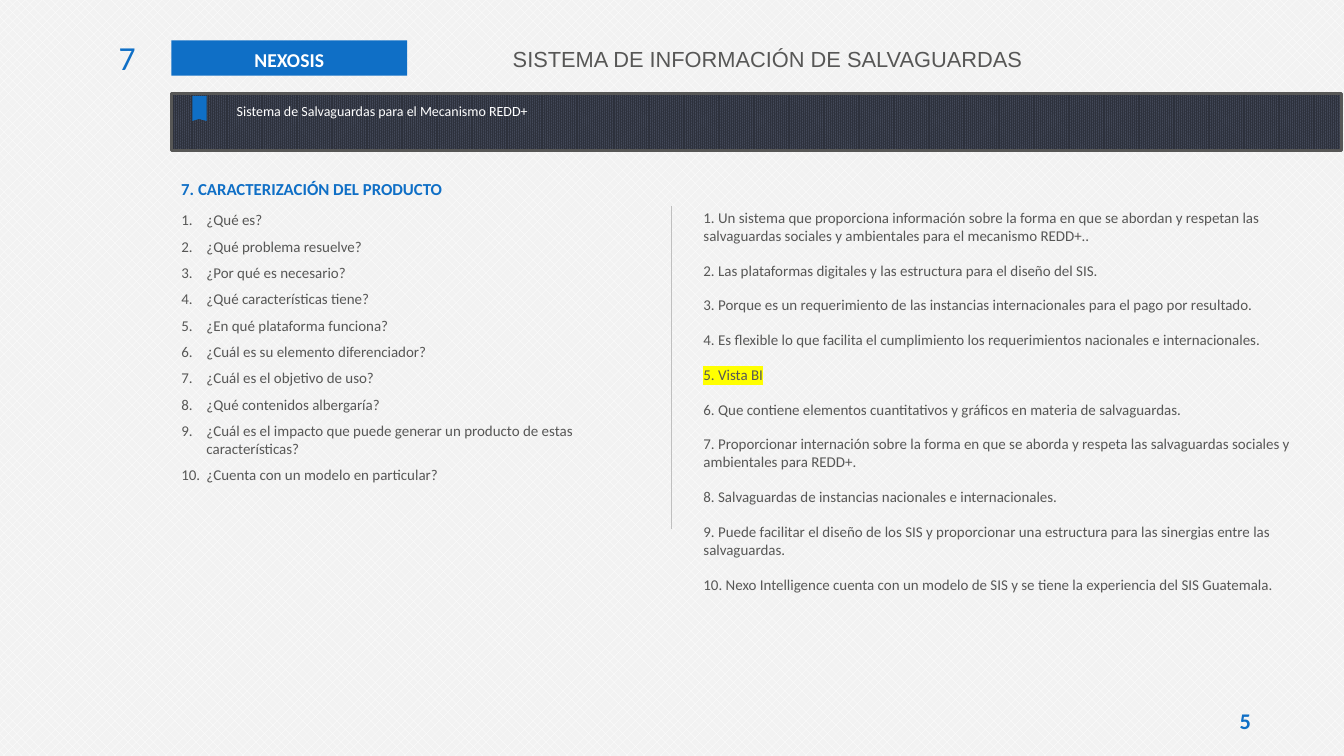
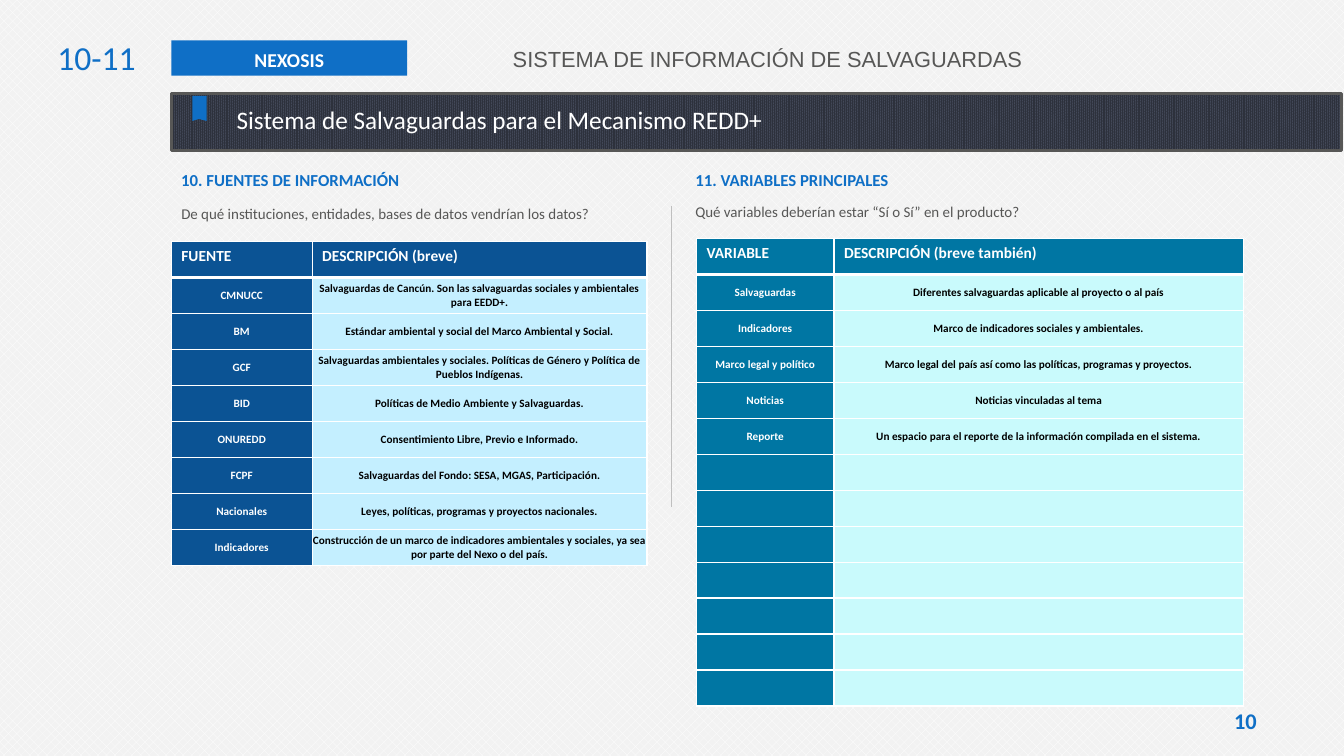
from dataclasses import dataclass, field
from typing import Any

from lxml.etree import SubElement
from pptx import Presentation
from pptx.dml.color import ColorFormat, RGBColor
from pptx.dml.fill import FillFormat
from pptx.enum.dml import MSO_PATTERN
from pptx.enum.shapes import MSO_CONNECTOR, MSO_SHAPE
from pptx.enum.text import MSO_ANCHOR, PP_ALIGN
from pptx.oxml.ns import qn
from pptx.slide import Slide
from pptx.table import _Cell
from pptx.text.text import TextFrame
from pptx.util import Pt

BLUE, GREY, WHITE, BLACK = "0F6FC6", "575756", "FFFFFF", "000000"
RULE, YELLOW = "BFBFBF", "FFFF00"
LEFT, BAND_TOP, BAND_HEIGHT = 122.4, 67, 40.3
ROW_HEIGHT = 25.7
NO_INSETS = {f"margin_{side}": 0 for side in ("left", "right", "top", "bottom")}


@dataclass(frozen=True)
class Style:
    """Character and paragraph look of a text."""

    size: float
    color: str
    bold: bool = False
    name: str = "Calibri"
    layout: dict[str, Any] = field(default_factory=dict)
    numbered: bool = False
    indent: float = 0


@dataclass(frozen=True)
class Area:
    """Position and size in points."""

    left: float
    top: float
    width: float
    height: float

    def lengths(self) -> tuple[Pt, ...]:
        """Return the four lengths in the order shapes expect."""
        return tuple(Pt(v) for v in (self.left, self.top, self.width, self.height))


@dataclass(frozen=True)
class Grid:
    """Two-column table with its colours."""

    area: Area
    first_width: float
    dark: str
    light: str
    rows: list[tuple[str, str]]


SPACED = {"space_before": Pt(6), "space_after": Pt(6)}
CENTERED = {"alignment": PP_ALIGN.CENTER}
TITLE = Style(15.6, GREY, name="Arial", indent=255.5)
TAG = Style(14, WHITE, True, layout=CENTERED | {"line_spacing": 1.1})
CHAPTER = Style(24, BLUE, layout={"alignment": PP_ALIGN.RIGHT})
PAGE_NUMBER = Style(16, BLUE, True, layout=CENTERED)
HEADING = Style(12, BLUE, True)
BODY = Style(10.7, GREY, layout=SPACED)
QUESTION = Style(10.7, GREY, layout={"space_after": Pt(6)}, numbered=True, indent=18)
COLUMN_HEAD = Style(11, WHITE, True)
ROW_NAME = Style(8, WHITE, True, layout=CENTERED)
ROW_TEXT = Style(8, BLACK, True, layout=CENTERED)

QUESTIONS = [
    "¿Qué es?",
    "¿Qué problema resuelve?",
    "¿Por qué es necesario?",
    "¿Qué características tiene?",
    "¿En qué plataforma funciona?",
    "¿Cuál es su elemento diferenciador?",
    "¿Cuál es el objetivo de uso?",
    "¿Qué contenidos albergaría?",
    "¿Cuál es el impacto que puede generar un producto de estas características?",
    "¿Cuenta con un modelo en particular?",
]
MARKED = "5. Vista BI"
ANSWERS = [
    "1. Un sistema que proporciona información sobre la forma en que se abordan y respetan las "
    "salvaguardas sociales y ambientales para el mecanismo REDD+..",
    "2. Las plataformas digitales y las estructura para el diseño del SIS.",
    "3. Porque es un requerimiento de las instancias internacionales para el pago por resultado.",
    "4. Es flexible lo que facilita el cumplimiento los requerimientos nacionales e internacionales.",
    MARKED,
    "6. Que contiene elementos cuantitativos y gráficos en materia de salvaguardas.",
    "7. Proporcionar internación sobre la forma en que se aborda y respeta las salvaguardas "
    "sociales y ambientales para REDD+.",
    "8. Salvaguardas de instancias nacionales e internacionales.",
    "9. Puede facilitar el diseño de los SIS y proporcionar una estructura para las sinergias "
    "entre las salvaguardas.",
    "10. Nexo Intelligence cuenta con un modelo de SIS y se tiene la experiencia del SIS Guatemala.",
]
SOURCES = Grid(Area(LEFT, 172.6, 339.8, 9 * ROW_HEIGHT), 100.6, "0B5394", "C4EFFF", [
    ("FUENTE", "DESCRIPCIÓN (breve)"),
    ("CMNUCC", "Salvaguardas de Cancún. Son las salvaguardas sociales y ambientales para EEDD+."),
    ("BM", "Estándar ambiental y social del Marco Ambiental y Social."),
    ("GCF", "Salvaguardas ambientales y sociales. Políticas de Género y Política de Pueblos Indígenas."),
    ("BID", "Políticas de Medio Ambiente y Salvaguardas."),
    ("ONUREDD", "Consentimiento Libre, Previo e Informado."),
    ("FCPF", "Salvaguardas del Fondo: SESA, MGAS, Participación."),
    ("Nacionales", "Leyes, políticas, programas y proyectos nacionales."),
    ("Indicadores", "Construcción de un marco de indicadores ambientales y sociales, ya sea por parte "
     "del Nexo o del país."),
])
VARIABLES = Grid(Area(497.5, 170.4, 390.7, 13 * ROW_HEIGHT), 98.2, "0076A3", "C9FAFC", [
    ("VARIABLE", "DESCRIPCIÓN (breve también)"),
    ("Salvaguardas", "Diferentes salvaguardas aplicable al proyecto o al país"),
    ("Indicadores", "Marco de indicadores sociales y ambientales."),
    ("Marco legal y político", "Marco legal del país así como las políticas, programas y proyectos."),
    ("Noticias", "Noticias vinculadas al tema"),
    ("Reporte", "Un espacio para el reporte de la información compilada en el sistema."),
    *[("", "")] * 7,
])


def apply(target: Any, values: dict[str, Any]) -> None:
    """Set every named attribute on the target."""
    for name, value in values.items():
        setattr(target, name, value)


def tint(target: ColorFormat, value: str) -> None:
    """Give a colour format a hex colour."""
    target.rgb = RGBColor.from_string(value)


def fill_solid(fill: FillFormat, value: str) -> None:
    """Fill with one colour."""
    fill.solid()
    tint(fill.fore_color, value)


def fill_pattern(fill: FillFormat, preset: str, front: str, back: str) -> None:
    """Fill with a two-colour preset pattern."""
    fill.patterned()
    fill.pattern = MSO_PATTERN.from_xml(preset)
    tint(fill.fore_color, front)
    tint(fill.back_color, back)


def write(frame: TextFrame, lines: list[str], style: Style, marked: str = "") -> None:
    """Write one paragraph per line, highlighting the marked one."""
    frame.word_wrap = True
    for index, line in enumerate(lines):
        para = frame.add_paragraph() if index else frame.paragraphs[0]
        apply(para, style.layout)
        if style.indent:
            properties = para._p.get_or_add_pPr()
            properties.set("marL", str(Pt(style.indent)))
            if style.numbered:
                properties.set("indent", str(-Pt(style.indent)))
                SubElement(properties, qn("a:buFont")).set("typeface", "+mj-lt")
                SubElement(properties, qn("a:buAutoNum")).set("type", "arabicPeriod")
        span = para.add_run()
        span.text = line
        apply(span.font, {"size": Pt(style.size), "bold": style.bold, "name": style.name})
        tint(span.font.color, style.color)
        if marked and line == marked:
            properties = span._r.get_or_add_rPr()
            highlight = SubElement(properties, qn("a:highlight"))
            SubElement(highlight, qn("a:srgbClr")).set("val", YELLOW)
            properties.find(qn("a:latin")).addprevious(highlight)


def add_text(page: Slide, area: Area, lines: list[str], style: Style,
             marked: str = "", **margins: Pt) -> None:
    """Place a text box."""
    frame = page.shapes.add_textbox(*area.lengths()).text_frame
    apply(frame, margins)
    write(frame, lines, style, marked)


def add_divider(page: Slide, bottom: float) -> None:
    """Draw the vertical rule between the two columns."""
    line = page.shapes.add_connector(MSO_CONNECTOR.STRAIGHT, Pt(480), Pt(147), Pt(480), Pt(bottom))
    line.line.width = Pt(0.75)
    tint(line.line.color, RULE)
    SubElement(line._element.spPr, qn("a:effectLst"))


def add_borders(cell: _Cell, top: float, bottom: float) -> None:
    """Give a cell white borders."""
    for side, width in (("L", 1), ("R", 1), ("T", top), ("B", bottom)):
        line = SubElement(cell._tc.get_or_add_tcPr(), qn(f"a:ln{side}"), w=str(Pt(width)))
        SubElement(SubElement(line, qn("a:solidFill")), qn("a:srgbClr")).set("val", WHITE)


def add_grid(page: Slide, grid: Grid) -> None:
    """Place a table with a header row and a dark first column."""
    table = page.shapes.add_table(len(grid.rows), 2, *grid.area.lengths()).table
    table.columns[0].width = Pt(grid.first_width)
    table.columns[1].width = Pt(grid.area.width - grid.first_width)
    for row, texts in enumerate(grid.rows):
        table.rows[row].height = Pt(ROW_HEIGHT)
        for column, text in enumerate(texts):
            cell = table.cell(row, column)
            add_borders(cell, 3 if row == 1 else 1, 1 if row else 3)
            fill_solid(cell.fill, grid.light if row and column else grid.dark)
            if row:
                apply(cell, NO_INSETS | {"vertical_anchor": MSO_ANCHOR.MIDDLE})
            style = (ROW_TEXT if column else ROW_NAME) if row else COLUMN_HEAD
            write(cell.text_frame, [text], style)


def add_frame(page: Slide, chapter: str, number: str, band_size: float) -> None:
    """Draw the title, tag, band, ribbon and page number."""
    add_text(page, Area(867.6, 504, 44, 24), [number], PAGE_NUMBER, margin_left=Pt(3.6),
             margin_right=Pt(3.6), margin_top=Pt(1.4), margin_bottom=Pt(1.4))
    add_text(page, Area(103.7, 24.5, 745.9, 40.3), ["SISTEMA DE INFORMACIÓN DE SALVAGUARDAS"],
             TITLE, margin_top=Pt(8.4))
    tag = page.shapes.add_shape(MSO_SHAPE.RECTANGLE, *Area(LEFT, 28.8, 168.5, 25.2).lengths())
    fill_solid(tag.fill, BLUE)
    tag.line.fill.background()
    tag.shadow.inherit = False
    tag.text_frame.vertical_anchor = MSO_ANCHOR.TOP
    write(tag.text_frame, ["NEXOSIS"], TAG)
    add_text(page, Area(33.8, 23, 70.2, 36), [chapter], CHAPTER)

    band = page.shapes.add_shape(
        MSO_SHAPE.RECTANGLE, *Area(LEFT, BAND_TOP, 836, BAND_HEIGHT).lengths())
    fill_pattern(band.fill, "pct90", "2D313C", "444A5A")
    tint(band.line.color, GREY)
    band.line.width = Pt(2)
    band.shadow.inherit = False

    outline = [(147.6, 86.4), (142.2, 85), (137.4, 86.4), (137.4, 68.4)]
    builder = page.shapes.build_freeform(Pt(147.6), Pt(68.4))
    builder.add_line_segments([(Pt(x), Pt(y)) for x, y in outline], close=True)
    ribbon = builder.convert_to_shape()
    fill_solid(ribbon.fill, BLUE)
    ribbon.line.fill.background()
    ribbon.shadow.inherit = False

    layout = {"alignment": PP_ALIGN.JUSTIFY, "line_spacing": 1.2, "space_before": Pt(band_size / 5)}
    add_text(page, Area(162, BAND_TOP, 597.6, BAND_HEIGHT),
             ["Sistema de Salvaguardas para el Mecanismo REDD+"],
             Style(band_size, WHITE, layout=layout))


def add_product(page: Slide) -> None:
    """Fill the product description page."""
    add_frame(page, "7", "5", 10)
    add_divider(page, 378)
    add_text(page, Area(LEFT, 123.8, 341.3, 21.6), ["7. CARACTERIZACIÓN DEL PRODUCTO"], HEADING)
    add_text(page, Area(LEFT, 147, 346.3, 203.8), QUESTIONS, QUESTION)
    add_text(page, Area(495.4, 145.4, 455.8, 309.6), ANSWERS, BODY, MARKED)


def add_sources(page: Slide) -> None:
    """Fill the page of sources and variables."""
    add_frame(page, "10-11", "10", 18)
    add_divider(page, 362)
    add_text(page, Area(LEFT, 118, 357, 21.6), ["10. FUENTES DE INFORMACIÓN"], HEADING)
    add_text(page, Area(LEFT, 142.6, 354.2, 20.2),
             ["De qué instituciones, entidades, bases de datos vendrían los datos?"], BODY)
    add_text(page, Area(489.6, 118, 341.3, 21.6), ["11. VARIABLES PRINCIPALES"], HEADING)
    add_text(page, Area(489.6, 141.1, 421.9, 20.2),
             ["Qué variables deberían estar “Sí o Sí” en el producto?"], BODY)
    for grid in (SOURCES, VARIABLES):
        add_grid(page, grid)


def main() -> None:
    """Build and save the deck."""
    deck = Presentation()
    apply(deck, {"slide_width": Pt(960), "slide_height": Pt(540)})
    fill_pattern(deck.slide_master.background.fill, "pct40", WHITE, "F2F2F2")
    for add_content in (add_product, add_sources):
        add_content(deck.slides.add_slide(deck.slide_layouts[6]))
    deck.save("out.pptx")


if __name__ == "__main__":
    main()
